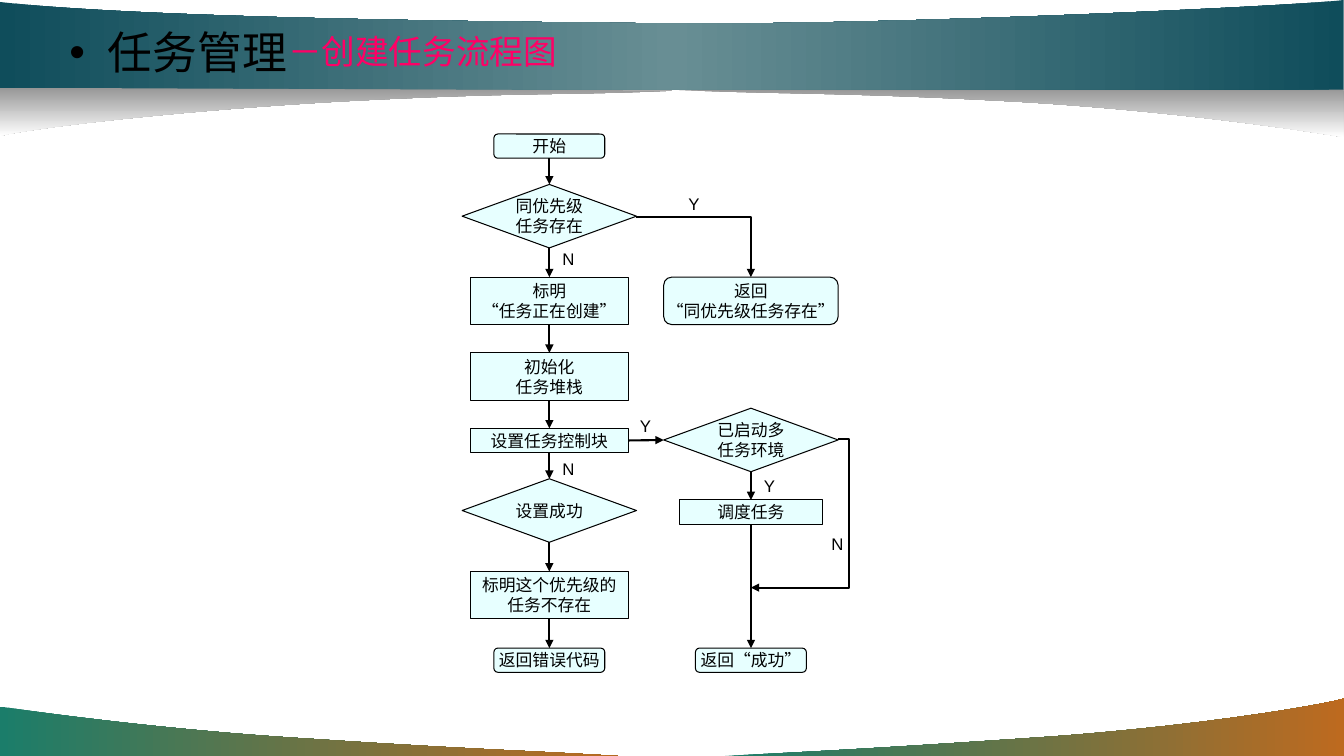
import pptx
import pptx.util
import pptx.dml.color
import pptx.enum.shapes
import pptx.enum.text
import pptx.oxml
import pptx.oxml.ns
from lxml import etree

PX = 9144  # EMU per px, 100 px to the inch
COLORS = {"ink": "000000", "node": "E7FFFF", "accent": "FF0066", "green": "1B7D6A",
          "orange": "BD6A1F", "grey": "969696", "white": "FFFFFF", "teal": "0F4D5B",
          "mist": "688E94"}
FONT = "Arial"

# Outline: start point, then (x, y) for a straight side or six numbers for a curve
FOOTER, SHADE, BAND = ["green", "orange"], ["grey", "white"], ["teal", "mist", "teal"]
DECOR = [
    (FOOTER, 0, [(613, 750), (512, 744, 477, 744, 309, 733),
                 (141, 723, 2, 701, 0, 701), (0, 750)]),
    (FOOTER, 0, [(719, 750), (818, 745, 861, 743, 1025, 732),
                 (1189, 721, 1320, 698, 1333, 693), (1333, 750)]),
    (SHADE, 90, [(667, 89), (778, 94, 827, 91, 1011, 101),
                 (1195, 112, 1331, 136, 1333, 136), (1333, 88)]),
    (BAND, 0, [(0, 89), (1333, 89), (1333, 0), (1286, 6, 870, 26, 649, 23),
               (428, 21, 135, 17, 0, 2)]),
    (SHADE, 90, [(667, 90), (555, 95, 517, 91, 332, 101),
                 (146, 112, 15, 130, 0, 135), (0, 87)]),
]

LEFT, RIGHT = 545, 745  # column centres
KINDS = {"end": "FLOWCHART_ALTERNATE_PROCESS", "test": "FLOWCHART_DECISION",
         "step": "FLOWCHART_PROCESS"}
# name: kind, centre x, top, width, height, lines
NODES = {
    "start": ("end", LEFT, 133, 110, 24, ["开始"]),
    "exists": ("test", LEFT, 183, 173, 63, ["同优先级", "任务存在"]),
    "mark": ("step", LEFT, 275, 157, 47, ["标明", "“任务正在创建”"]),
    "stack": ("step", LEFT, 350, 157, 47, ["初始化", "任务堆栈"]),
    "block": ("step", LEFT, 425, 157, 24, ["设置任务控制块"]),
    "success": ("test", LEFT, 475, 173, 63, ["设置成功"]),
    "unmark": ("step", LEFT, 567, 157, 47, ["标明这个优先级的", "任务不存在"]),
    "error": ("end", LEFT, 643, 110, 24, ["返回错误代码"]),
    "duplicate": ("end", RIGHT, 275, 173, 47, ["返回", "“同优先级任务存在”"]),
    "running": ("test", RIGHT, 405, 173, 63, ["已启动多", "任务环境"]),
    "schedule": ("step", RIGHT, 496, 142, 24, ["调度任务"]),
    "done": ("end", RIGHT, 643, 110, 24, ["返回“成功”"]),
}
CHAINS = [["start", "exists", "mark", "stack", "block", "success", "unmark", "error"],
          ["running", "schedule", "done"]]
# from, to, preset, adjustment
BENDS = [((631, 215), (745, 275), "bentConnector2", None),
         ((831, 436), (745, 583), "bentConnector3", -12900)]
ANSWERS = [("Y", 673, 187), ("N", 548, 242), ("Y", 625, 408), ("N", 548, 450),
           ("Y", 748, 467), ("N", 815, 525)]
TITLE = ("任务管理", 59, 18, 242, 67)
SUBTITLE = ("－创建任务流程图", 276, 26, 292, 50)


def rgb(name):
    return pptx.dml.color.RGBColor.from_string(COLORS[name])


def add_child(parent, tag, **attributes):
    child = etree.SubElement(parent, pptx.oxml.ns.qn(tag))
    for key, value in attributes.items():
        child.set(key, str(value))
    return child


def add_outline(page, outline):
    """Draw straight sides through every point, then bend each marked triple into a curve."""
    points = [part[i:i + 2] for part in outline for i in range(0, len(part), 2)]
    builder = page.shapes.build_freeform(*points[0], scale=PX)
    builder.add_line_segments(points[1:], close=True)
    shape = builder.convert_to_shape()
    sides = iter(list(shape._element.iter(pptx.oxml.ns.qn("a:lnTo"))))
    for part in outline[1:]:
        triple = [next(sides) for _ in range(len(part) // 2)]
        if len(triple) == 3:
            triple[0].tag = pptx.oxml.ns.qn("a:cubicBezTo")
            for side in triple[1:]:
                triple[0].append(side[0])
                side.getparent().remove(side)
    return shape


def add_decor(page, stops, angle, outline):
    shape = add_outline(page, outline)
    shape.shadow.inherit = False
    shape.line.fill.background()
    shape.fill.gradient()
    gradient = shape.fill._xPr.find(pptx.oxml.ns.qn("a:gradFill"))
    for child in list(gradient):
        gradient.remove(child)
    stop_list = add_child(gradient, "a:gsLst")
    for index, name in enumerate(stops):
        stop = add_child(stop_list, "a:gs", pos=index * 100000 // (len(stops) - 1))
        add_child(stop, "a:srgbClr", val=COLORS[name])
    add_child(gradient, "a:lin", ang=angle * 60000, scaled=0)


def set_font(para, size, color="ink"):
    para.font.name = FONT
    para.font.size = pptx.util.Pt(size)
    para.font.color.rgb = rgb(color)


def add_node(page, kind, centre, top, width, height, lines):
    preset = pptx.enum.shapes.MSO_SHAPE[KINDS[kind]]
    shape = page.shapes.add_shape(preset, (2 * centre - width) * PX // 2, top * PX,
                                  width * PX, height * PX)
    shape.shadow.inherit = False
    shape.fill.solid()
    shape.fill.fore_color.rgb = rgb("node")
    shape.line.color.rgb = rgb("ink")
    shape.line.width = pptx.util.Pt(0.75)
    frame = shape.text_frame
    frame.word_wrap = False
    frame.vertical_anchor = pptx.enum.text.MSO_ANCHOR.MIDDLE
    frame.margin_left = frame.margin_right = frame.margin_top = frame.margin_bottom = 0
    for index, line in enumerate(lines):
        para = frame.add_paragraph() if index else frame.paragraphs[0]
        para.text = line
        para.alignment = pptx.enum.text.PP_ALIGN.CENTER
        set_font(para, 12)
    return shape


def add_arrow(page, kind, start=(0, 0), end=(0, 0)):
    arrow = page.shapes.add_connector(kind, *(value * PX for value in start + end))
    arrow.line.color.rgb = rgb("ink")
    arrow.line.width = pptx.util.Pt(1.5)
    add_child(arrow.line._get_or_add_ln(), "a:tailEnd", type="triangle")
    add_child(arrow._element.spPr, "a:effectLst")
    return arrow


def join(page, source, source_side, target, target_side):
    arrow = add_arrow(page, pptx.enum.shapes.MSO_CONNECTOR.STRAIGHT)
    arrow.begin_connect(source, source_side)
    arrow.end_connect(target, target_side)


def add_bend(page, start, end, preset, adjustment):
    arrow = add_arrow(page, pptx.enum.shapes.MSO_CONNECTOR.ELBOW, start, end)
    geometry = arrow._element.spPr.find(pptx.oxml.ns.qn("a:prstGeom"))
    geometry.set("prst", preset)
    if adjustment is not None:
        guides = geometry.find(pptx.oxml.ns.qn("a:avLst"))
        add_child(guides, "a:gd", name="adj1", fmla=f"val {adjustment}")


def add_text(page, text, left, top, width, height, size, color="ink", bullet_indent=0):
    box = page.shapes.add_textbox(left * PX, top * PX, width * PX, height * PX)
    box.text_frame.word_wrap = True
    para = box.text_frame.paragraphs[0]
    para.text = text
    if bullet_indent:
        box.text_frame.vertical_anchor = pptx.enum.text.MSO_ANCHOR.MIDDLE
        properties = para._p.get_or_add_pPr()
        properties.set("marL", str(bullet_indent * PX))
        properties.set("indent", str(-bullet_indent * PX))
        add_child(properties, "a:buFont", typeface=FONT)
        add_child(properties, "a:buChar", char="•")
    set_font(para, size, color)


def main():
    deck = pptx.Presentation()
    deck.slide_width = pptx.util.Inches(40 / 3)
    deck.slide_height = pptx.util.Inches(7.5)
    page = deck.slides.add_slide(deck.slide_layouts[6])
    for stops, angle, outline in DECOR:
        add_decor(page, stops, angle, outline)
    add_text(page, *TITLE, size=32, bullet_indent=38)
    nodes = {name: add_node(page, *node) for name, node in NODES.items()}
    for chain in CHAINS:
        for upper, lower in zip(chain, chain[1:]):
            join(page, nodes[upper], 2, nodes[lower], 0)
    join(page, nodes["block"], 3, nodes["running"], 1)
    for bend in BENDS:
        add_bend(page, *bend)
    for answer, left, top in ANSWERS:
        add_text(page, answer, left, top, 33, 30, size=12)
    add_text(page, *SUBTITLE, size=24, color="accent")
    deck.save("out.pptx")


if __name__ == "__main__":
    main()
